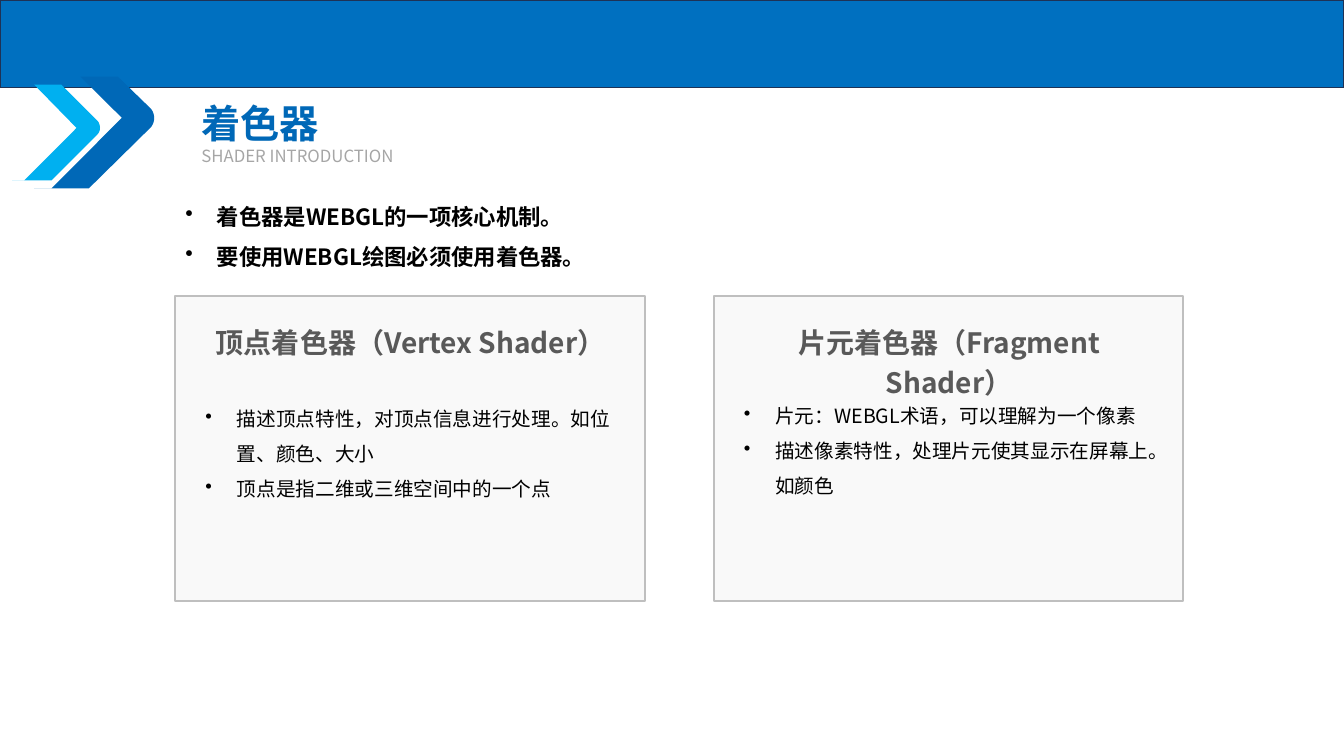
from dataclasses import dataclass

from lxml import etree
from pptx import Presentation
from pptx.dml.color import RGBColor
from pptx.enum.shapes import MSO_SHAPE
from pptx.enum.text import MSO_AUTO_SIZE, PP_ALIGN
from pptx.oxml.ns import qn
from pptx.shapes.autoshape import Shape
from pptx.slide import Slide
from pptx.util import Pt

RECTANGLE = MSO_SHAPE.RECTANGLE
GROW = MSO_AUTO_SIZE.SHAPE_TO_FIT_TEXT
LEFT = PP_ALIGN.LEFT
CENTER = PP_ALIGN.CENTER

FONT = "Noto Sans CJK SC"
BULLET_INDENT = Pt(22.5)
CURVE_STEPS = 8
COLORS = {
    "banner": "0070C0",
    "banner_edge": "1E3256",
    "card": "F2F2F2",
    "card_edge": "BFBFBF",
    "heading": "0068B7",
    "subtitle": "A6A6A6",
    "card_title": "595959",
    "body": "000000",
    "dark_chevron": "0068B7",
    "light_chevron": "00B0F0",
}

Point = tuple[float, float]


@dataclass(frozen=True)
class Box:
    left: float
    top: float
    width: float
    height: float


@dataclass(frozen=True)
class TextStyle:
    size: float
    color: str
    bold: bool = False
    align: PP_ALIGN = LEFT
    spacing: float | None = None
    bulleted: bool = False
    wrap: bool = True


@dataclass(frozen=True)
class Chevron:
    color: str
    before_tip: list[Point]
    tip_curve: list[Point]
    after_tip: list[Point]


@dataclass(frozen=True)
class Card:
    title: str
    points: list[str]
    points_top: float
    points_height: float


HEADING = TextStyle(28, "heading", bold=True)
SUBTITLE = TextStyle(12, "subtitle")
SUMMARY = TextStyle(16, "body", bold=True, spacing=1.5, bulleted=True, wrap=False)
CARD_TITLE = TextStyle(20, "card_title", bold=True, align=CENTER, spacing=1.2)
CARD_POINTS = TextStyle(14, "body", spacing=1.5, bulleted=True)

CHEVRONS = [
    Chevron(
        "dark_chevron",
        [(24.5, 134.6), (63.4, 134.6), (108, 90.7)],
        [(108, 90.7), (110.9, 87.1), (110.9, 81.4), (108, 77.8)],
        [(84.2, 54.7), (57.6, 54.7), (87.1, 84.2), (36.7, 134.6)],
    ),
    Chevron(
        "light_chevron",
        [(8.6, 128.9), (36.7, 128.9), (69.8, 95.8)],
        [(69.8, 95.8), (72, 93.6), (72, 89.3), (69.8, 86.4)],
        [(43.9, 60.5), (24.5, 60.5), (54.7, 91.4), (17.3, 128.9)],
    ),
]

CARD_LEFT = 125.3
CARD_PITCH = 384.5
CARDS = [
    Card(
        "顶点着色器（Vertex Shader）",
        ["描述顶点特性，对顶点信息进行处理。如位置、颜色、大小", "顶点是指二维或三维空间中的一个点"],
        278.6,
        81.4,
    ),
    Card(
        "片元着色器（Fragment Shader）",
        ["片元：WEBGL术语，可以理解为一个像素", "描述像素特性，处理片元使其显示在屏幕上。如颜色"],
        276.5,
        83.5,
    ),
]


def rgb(name: str) -> RGBColor:
    return RGBColor.from_string(COLORS[name])


def add_panel(slide: Slide, box: Box, fill: str, edge: str, edge_width: float) -> Shape:
    panel = slide.shapes.add_shape(
        RECTANGLE, Pt(box.left), Pt(box.top), Pt(box.width), Pt(box.height)
    )
    panel.shadow.inherit = False
    panel.fill.solid()
    panel.fill.fore_color.rgb = rgb(fill)
    panel.line.color.rgb = rgb(edge)
    panel.line.width = Pt(edge_width)
    return panel


def set_opacity(panel: Shape, percent: int) -> None:
    fill_color = panel.element.spPr.find(qn("a:solidFill")).find(qn("a:srgbClr"))
    etree.SubElement(fill_color, qn("a:alpha"), val=str(percent * 1000))


def add_text(slide: Slide, box: Box, lines: list[str], style: TextStyle) -> None:
    frame = slide.shapes.add_textbox(
        Pt(box.left), Pt(box.top), Pt(box.width), Pt(box.height)
    ).text_frame
    frame.word_wrap = style.wrap
    frame.auto_size = GROW
    frame.text = "\n".join(lines)
    for paragraph in frame.paragraphs:
        paragraph.alignment = style.align
        if style.spacing:
            paragraph.line_spacing = style.spacing
        font = paragraph.font
        font.name = FONT
        font.size = Pt(style.size)
        font.bold = style.bold
        font.color.rgb = rgb(style.color)
        properties = paragraph._p.pPr
        defaults = properties.find(qn("a:defRPr"))
        etree.SubElement(defaults, qn("a:ea"), typeface=FONT)
        if style.bulleted:
            properties.set("marL", str(BULLET_INDENT))
            properties.set("indent", str(-BULLET_INDENT))
            bullet = etree.Element(qn("a:buChar"), char="•")
            defaults.addprevious(bullet)


def curve_points(controls: list[Point]) -> list[Point]:
    points = []
    for step in range(1, CURVE_STEPS + 1):
        t = step / CURVE_STEPS
        weights = ((1 - t) ** 3, 3 * t * (1 - t) ** 2, 3 * t**2 * (1 - t), t**3)
        x, y = (sum(w * c[axis] for w, c in zip(weights, controls)) for axis in (0, 1))
        points.append((x, y))
    return points


def add_chevron(slide: Slide, chevron: Chevron) -> None:
    outline = chevron.before_tip + curve_points(chevron.tip_curve) + chevron.after_tip
    vertices = [(Pt(x), Pt(y)) for x, y in outline]
    builder = slide.shapes.build_freeform(*vertices[0])
    builder.add_line_segments(vertices[1:], close=True)
    arrow = builder.convert_to_shape()
    arrow.shadow.inherit = False
    arrow.fill.solid()
    arrow.fill.fore_color.rgb = rgb(chevron.color)
    arrow.line.fill.background()


def add_card(slide: Slide, card: Card, left: float) -> None:
    panel = add_panel(slide, Box(left, 211.7, 335.5, 217.4), "card", "card_edge", 1.5)
    set_opacity(panel, 40)
    add_text(slide, Box(left + 11.5, 223.9, 313.2, 34.6), [card.title], CARD_TITLE)
    points_box = Box(left + 14.4, card.points_top, 306.7, card.points_height)
    add_text(slide, points_box, card.points, CARD_POINTS)


def main() -> None:
    presentation = Presentation()
    presentation.slide_width = Pt(960)
    presentation.slide_height = Pt(540)
    slide = presentation.slides.add_slide(presentation.slide_layouts[6])

    add_panel(slide, Box(0, 0, 960, 62.6), "banner", "banner_edge", 1)
    add_text(slide, Box(136.8, 67.7, 387.4, 41), ["着色器"], HEADING)
    add_text(slide, Box(136.8, 100.8, 398.9, 21.6), ["SHADER INTRODUCTION"], SUBTITLE)
    for chevron in CHEVRONS:
        add_chevron(slide, chevron)
    for index, card in enumerate(CARDS):
        add_card(slide, card, CARD_LEFT + index * CARD_PITCH)
    summary = ["着色器是WEBGL的一项核心机制。", "要使用WEBGL绘图必须使用着色器。"]
    add_text(slide, Box(125.3, 131.8, 295.2, 62.6), summary, SUMMARY)

    presentation.save("out.pptx")


if __name__ == "__main__":
    main()
